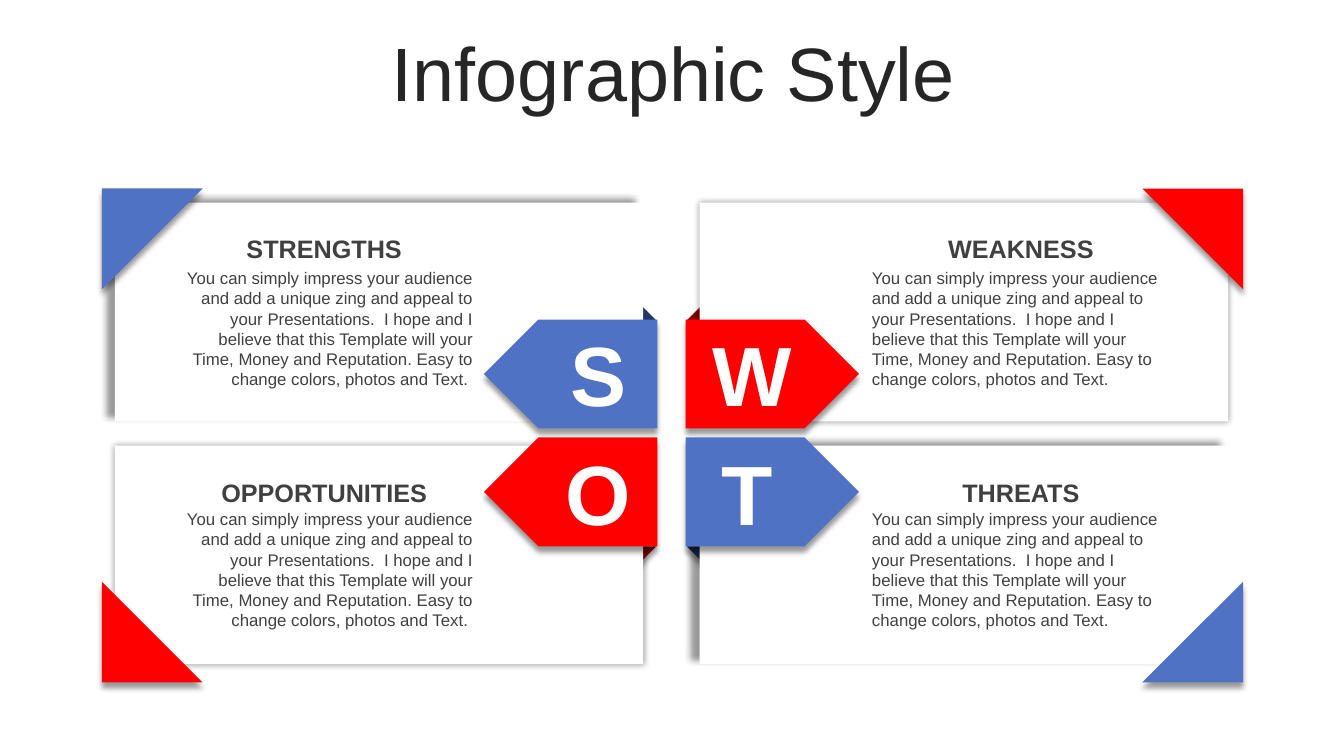
from dataclasses import dataclass
from itertools import product

from lxml.etree import SubElement
from pptx import Presentation
from pptx.dml.color import RGBColor
from pptx.enum.shapes import MSO_SHAPE
from pptx.enum.text import MSO_ANCHOR, PP_ALIGN
from pptx.oxml.ns import qn
from pptx.shapes.autoshape import Shape
from pptx.slide import Slide
from pptx.text.text import _Paragraph as Para
from pptx.util import Emu, Pt

PX = 9144  # 100 px to the inch


@dataclass(frozen=True)
class Theme:
    font: str = "Arial"
    blue: str = "5072C4"
    navy: str = "233767"
    red: str = "FF0000"
    maroon: str = "800000"
    white: str = "FFFFFF"
    ink: str = "262626"
    gray: str = "404040"
    title: int = 54
    letter: int = 60
    head: int = 18
    body: int = 12


@dataclass(frozen=True)
class Shade:
    """Shadow blur and distance in points, direction in degrees."""
    blur: int
    dist: int
    angle: int


@dataclass(frozen=True)
class Col:
    card: int
    plate: int
    letter: int
    text: int
    corner: int
    base: int
    tip: int
    turn: int
    align: PP_ALIGN
    tail: str


@dataclass(frozen=True)
class Row:
    card: int
    plate: int
    letter: int
    head: int
    body: int
    corner: int
    base: int
    tip: int


@dataclass(frozen=True)
class Panel:
    letter: str
    head: str
    fill: str
    fold: str
    turn: int
    shade: Shade


THEME = Theme()
DROP = Shade(4, 4, 90)
GLOW = Shade(5, 0, 0)
SHIFT = Shade(5, 7, 205)
BODY = (
    "You can simply impress your audience and add a unique zing and appeal to "
    "your Presentations.  I hope and I believe that this Template will your "
    "Time, Money and Reputation. Easy to change colors, photos and Text."
)
COLS = (
    Col(114, 480, 549, 164, 101, 634, 651, 180, PP_ALIGN.RIGHT, " "),
    Col(694, 680, 697, 855, 1133, 698, 681, 0, PP_ALIGN.LEFT, ""),
)
ROWS = (
    Row(201, 317, 315, 227, 261, 187, 318, 301),
    Row(442, 434, 433, 469, 500, 577, 542, 559),
)
PANELS = (
    Panel("S", "STRENGTHS", THEME.blue, THEME.navy, 90, SHIFT),
    Panel("W", "WEAKNESS", THEME.red, THEME.maroon, 180, GLOW),
    Panel("O", "OPPORTUNITIES", THEME.red, THEME.maroon, 0, GLOW),
    Panel("T", "THREATS", THEME.blue, THEME.navy, 270, SHIFT),
)


def paint(shape: Shape, color: str, shade: Shade) -> None:
    """Fill the shape, drop its outline and give it a soft shadow."""
    shape.fill.solid()
    shape.fill.fore_color.rgb = RGBColor.from_string(color)
    shape.line.fill.background()
    shape.shadow.inherit = False
    effects = shape._element.spPr.find(qn("a:effectLst"))
    outer = SubElement(
        effects, qn("a:outerShdw"), blurRad=str(Pt(shade.blur)),
        dist=str(Pt(shade.dist)), dir=str(shade.angle * 60000), rotWithShape="0",
    )
    black = SubElement(outer, qn("a:srgbClr"), val="000000")
    SubElement(black, qn("a:alpha"), val="40000")


def block(slide: Slide, kind: MSO_SHAPE, x: int, y: int, w: int, h: int,
          color: str, shade: Shade = DROP, turn: int = 0) -> None:
    shape = slide.shapes.add_shape(kind, x * PX, y * PX, w * PX, h * PX)
    shape.rotation = turn
    paint(shape, color, shade)


def fold(slide: Slide, col: Col, row: Row, color: str) -> None:
    """Draw the dark flap where a letter tab wraps behind its card."""
    maker = slide.shapes.build_freeform(col.base, row.base, scale=PX)
    maker.add_line_segments([(col.tip, row.base), (col.base, row.tip)])
    paint(maker.convert_to_shape(), color, DROP)


def label(slide: Slide, text: str, x: int, y: int, w: int, h: int, size: int,
          color: str, bold: bool = False, align: PP_ALIGN = PP_ALIGN.CENTER,
          anchor: MSO_ANCHOR = MSO_ANCHOR.TOP) -> Para:
    frame = slide.shapes.add_textbox(x * PX, y * PX, w * PX, h * PX).text_frame
    frame.word_wrap = True
    frame.vertical_anchor = anchor
    para = frame.paragraphs[0]
    para.text = text
    para.alignment = align
    para.font.name = THEME.font
    para.font.size = Pt(size)
    para.font.bold = bold
    para.font.color.rgb = RGBColor.from_string(color)
    return para


def main() -> None:
    deck = Presentation()
    deck.slide_width, deck.slide_height = Emu(1333 * PX), Emu(750 * PX)
    slide = deck.slides.add_slide(deck.slide_layouts[6])
    title = label(slide, "Infographic Style", 35, 37, 1266, 79, THEME.title,
                  THEME.ink, anchor=MSO_ANCHOR.MIDDLE)
    title.line_spacing = 0.9

    cells = [(row, col, panel)
             for (row, col), panel in zip(product(ROWS, COLS), PANELS)]
    for row, col, panel in cells:
        fold(slide, col, row, panel.fold)
    for row, col, panel in cells:
        block(slide, MSO_SHAPE.RECTANGLE, col.card, row.card, 524, 217,
              THEME.white, panel.shade)
    for row, col, panel in cells:
        block(slide, MSO_SHAPE.PENTAGON, col.plate, row.plate, 172, 108,
              panel.fill, turn=col.turn)
        label(slide, panel.letter, col.letter, row.letter, 89, 111,
              THEME.letter, THEME.white, bold=True)
        label(slide, panel.head, col.text, row.head, 315, 30,
              THEME.head, THEME.gray, bold=True)
        label(slide, BODY + col.tail, col.text, row.body, 315, 131,
              THEME.body, THEME.gray, align=col.align)
        block(slide, MSO_SHAPE.RIGHT_TRIANGLE, col.corner, row.corner, 100, 100,
              panel.fill, turn=panel.turn)
    deck.save("out.pptx")


if __name__ == "__main__":
    main()
